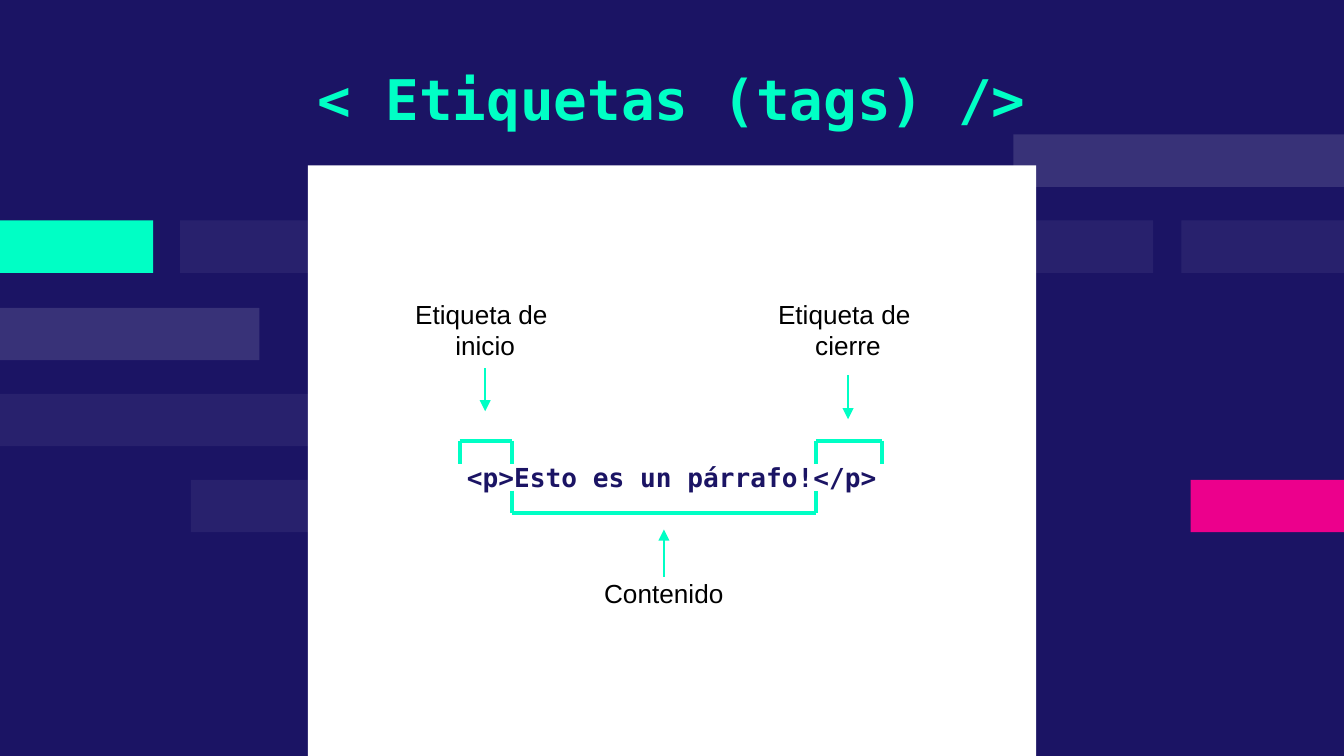
import pptx
import pptx.util
import pptx.dml.color
import pptx.enum.shapes
import pptx.enum.text
import pptx.oxml.ns
from lxml import etree

Inches = pptx.util.Inches
WIDTH = 10
HEIGHT = WIDTH * 9 / 16
NAVY, MINT, PINK, WHITE, BLACK = "1B1464", "00FFC5", "EC008C", "FFFFFF", "000000"
BAR_HEIGHT = 0.39

BARS = [
    (0, 2.29, 1.93, WHITE, 13),
    (1.34, 1.64, 1.21, WHITE, 6),
    (0, 2.93, 2.46, WHITE, 6),
    (0, 1.64, 1.14, MINT, 100),
    (1.42, 3.57, 1.21, WHITE, 6),
    (8.86, 3.57, 1.14, PINK, 100),
    (8.79, 1.64, 1.21, WHITE, 6),
    (5.99, 1.64, 2.59, WHITE, 6),
    (7.54, 1, 2.46, WHITE, 13),
]
PANEL = (2.29, 1.23, 5.42, HEIGHT - 1.23)

CODE_FORMAT = {"name": "DejaVu Sans Mono", "size": 14, "bold": True, "color": NAVY}
TITLE_FORMAT = {**CODE_FORMAT, "size": 30, "color": MINT}
LABEL_FORMAT = {"name": "Arial", "size": 14, "bold": False, "color": BLACK}

TEXTS = [
    ((2.29, 3.33, 5.42, 0.47), ["<p>Esto es un párrafo!</p>"], CODE_FORMAT),
    ((1.4, 0.38, 7.2, 0.73), ["< Etiquetas (tags) />"], TITLE_FORMAT),
    ((2.98, 2.12, 1.26, 0.67), ["Etiqueta de ", "inicio"], LABEL_FORMAT),
    ((5.68, 2.12, 1.26, 0.67), ["Etiqueta de ", "cierre"], LABEL_FORMAT),
    ((4.31, 4.2, 1.26, 0.44), ["Contenido"], LABEL_FORMAT),
]

BRACKETS = [
    (3.42, 3.81, 3.28, 3.45),
    (6.07, 6.56, 3.28, 3.45),
    (3.81, 6.07, 3.82, 3.65),
]
ARROWS = [(3.61, 2.74, 3.06), (6.31, 2.79, 3.12), (4.94, 4.29, 3.94)]


def rgb(value):
    return pptx.dml.color.RGBColor.from_string(value)


def add_block(slide, box, color, opacity=100):
    shape = slide.shapes.add_shape(
        pptx.enum.shapes.MSO_SHAPE.RECTANGLE, *map(Inches, box))
    shape.shadow.inherit = False
    shape.line.fill.background()
    shape.fill.solid()
    shape.fill.fore_color.rgb = rgb(color)
    if opacity < 100:
        color_element = shape._element.spPr.find(".//" + pptx.oxml.ns.qn("a:srgbClr"))
        etree.SubElement(color_element, pptx.oxml.ns.qn("a:alpha"), val=str(opacity * 1000))


def add_text(slide, box, lines, text_format):
    frame = slide.shapes.add_textbox(*map(Inches, box)).text_frame
    frame.word_wrap = True
    frame.vertical_anchor = pptx.enum.text.MSO_ANCHOR.TOP
    for side in ("left", "top", "right", "bottom"):
        setattr(frame, f"margin_{side}", Inches(0.1))
    values = {**text_format, "size": pptx.util.Pt(text_format["size"])}
    color = values.pop("color")
    for index, line in enumerate(lines):
        paragraph = frame.add_paragraph() if index else frame.paragraphs[0]
        paragraph.alignment = pptx.enum.text.PP_ALIGN.CENTER
        run = paragraph.add_run()
        run.text = line
        for name, value in values.items():
            setattr(run.font, name, value)
        run.font.color.rgb = rgb(color)


def add_line(shapes, start, end, width, arrow=False):
    connector = shapes.add_connector(
        pptx.enum.shapes.MSO_CONNECTOR.STRAIGHT, *map(Inches, (*start, *end)))
    connector.line.color.rgb = rgb(MINT)
    connector.line.width = pptx.util.Pt(width)
    properties = connector._element.spPr
    if arrow:
        etree.SubElement(properties.find(pptx.oxml.ns.qn("a:ln")),
                         pptx.oxml.ns.qn("a:tailEnd"), type="triangle")
    etree.SubElement(properties, pptx.oxml.ns.qn("a:effectLst"))


def add_bracket(slide, left, right, edge, tip):
    group = slide.shapes.add_group_shape()
    corners = [(left, tip), (left, edge), (right, edge), (right, tip)]
    for start, end in zip(corners, corners[1:]):
        add_line(group.shapes, start, end, 2.25)


def main():
    presentation = pptx.Presentation()
    presentation.slide_width = Inches(WIDTH)
    presentation.slide_height = Inches(HEIGHT)
    slide = presentation.slides.add_slide(presentation.slide_layouts[6])
    slide.background.fill.solid()
    slide.background.fill.fore_color.rgb = rgb(NAVY)

    for left, top, width, color, opacity in BARS:
        add_block(slide, (left, top, width, BAR_HEIGHT), color, opacity)
    add_block(slide, PANEL, WHITE)
    for text in TEXTS:
        add_text(slide, *text)
    for bracket in BRACKETS:
        add_bracket(slide, *bracket)
    for x, start, end in ARROWS:
        add_line(slide.shapes, (x, start), (x, end), 0.75, arrow=True)

    presentation.save("out.pptx")


if __name__ == "__main__":
    main()
